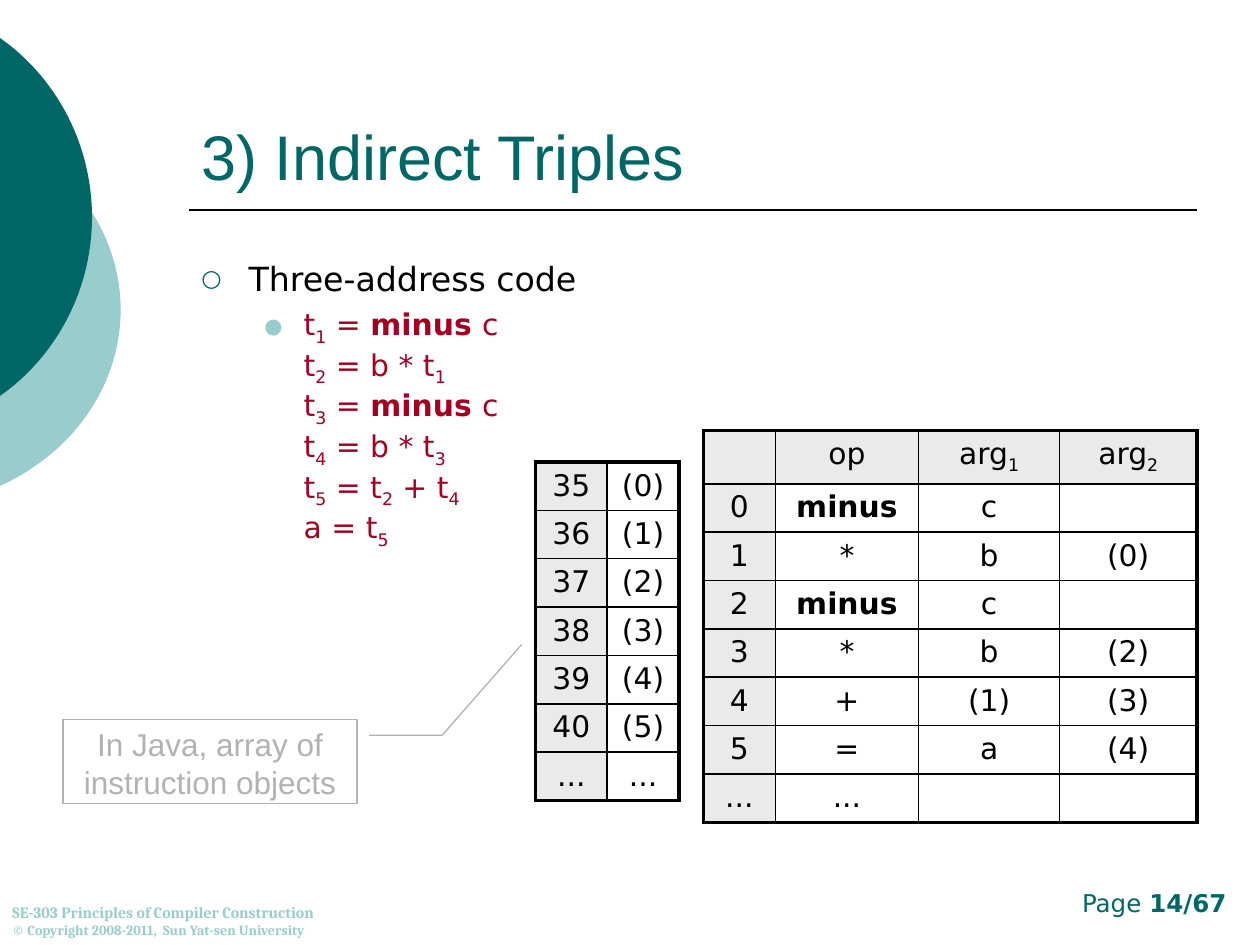
from copy import deepcopy

from lxml.etree import SubElement as Sub
from pptx import Presentation
from pptx.dml.color import RGBColor as RGB
from pptx.enum.shapes import MSO_CONNECTOR as Conn, MSO_SHAPE as Shape
from pptx.enum.text import MSO_ANCHOR as Anchor, PP_ALIGN as Align
from pptx.oxml.ns import qn
from pptx.util import Pt

TEAL = RGB(0x00, 0x66, 0x66)
AQUA = RGB(0x99, 0xCC, 0xCC)
BLACK = RGB(0x00, 0x00, 0x00)
RED = RGB(0xA5, 0x00, 0x21)
GRAY = RGB(0xB2, 0xB2, 0xB2)
PALE = RGB(0xEA, 0xEA, 0xEA)
SANS, ARIAL, SERIF = "DejaVu Sans", "Arial", "Cambria"

MINUS = ("minus", "bold")
CODE = [
    [("t",), ("1", "sub"), (" = ",), ("minus ", "bold"), ("c",)],
    [("t",), ("2", "sub"), (" = b * t",), ("1", "sub")],
    [("t",), ("3", "sub"), (" = ",), ("minus ", "bold"), ("c",)],
    [("t",), ("4", "sub"), (" = b * t",), ("3", "sub")],
    [("t",), ("5", "sub"), (" = t",), ("2", "sub"), (" + t",), ("4", "sub")],
    [("a = t",), ("5", "sub")],
]
ORDER = [[[(str(35 + i),)], [(f"({i})",)]] for i in range(6)]
ORDER.append([[("...",)], [("...",)]])
TRIPLES = [
    [[], [("op",)], [("arg",), ("1", "sub")], [("arg",), ("2", "sub")]],
    [[("0",)], [MINUS], [("c",)], []],
    [[("1",)], [("*",)], [("b",)], [("(0)",)]],
    [[("2",)], [MINUS], [("c",)], []],
    [[("3",)], [("*",)], [("b",)], [("(2)",)]],
    [[("4",)], [("+",)], [("(1)",)], [("(3)",)]],
    [[("5",)], [("=",)], [("a",)], [("(4)",)]],
    [[("...",)], [("...",)], [], []],
]


def add_runs(para, parts, size, font, color):
    for text, *marks in parts:
        run = para.add_run()
        run.text = text
        run.font.size = Pt(size)
        run.font.name = font
        run.font.color.rgb = color
        run.font.bold = "bold" in marks
        if "sub" in marks:
            run.font._element.set("baseline", "-25000")


def add_break(para):
    last = para.runs[-1]
    para.add_line_break()
    para._p[-1].append(deepcopy(last._r.rPr))


def add_box(slide, left, top, width, height, anchor=Anchor.TOP):
    box = slide.shapes.add_textbox(Pt(left), Pt(top), Pt(width), Pt(height))
    frame = box.text_frame
    frame.word_wrap = True
    frame.vertical_anchor = anchor
    return frame


def add_bullet(para, char, color, left, hang):
    props = para._p.get_or_add_pPr()
    props.set("marL", str(Pt(left)))
    props.set("indent", str(-Pt(hang)))
    tint = Sub(props, qn("a:buClr"))
    Sub(tint, qn("a:srgbClr"), val=str(color))
    Sub(props, qn("a:buSzPct"), val="70000")
    Sub(props, qn("a:buFont"), typeface=SANS)
    Sub(props, qn("a:buChar"), char=char)


def add_arc(slide, color, top, near, far, middle):
    curve = [(0, top), near, far, (far[0], middle)]
    half = []
    for step in range(25):
        t = step / 24
        mix = [(1 - t) ** 3, 3 * t * (1 - t) ** 2, 3 * t * t * (1 - t), t ** 3]
        half.append([sum(m * p[axis] for m, p in zip(mix, curve)) for axis in (0, 1)])
    rest = [(x, 2 * middle - y) for x, y in reversed(half[:-1])]
    spots = [(Pt(x), Pt(y)) for x, y in half + rest]
    pen = slide.shapes.build_freeform(*spots[0], scale=1.0)
    pen.add_line_segments(spots[1:], close=True)
    disc = pen.convert_to_shape()
    disc.shadow.inherit = False
    disc.fill.solid()
    disc.fill.fore_color.rgb = color
    disc.line.fill.background()


def add_rule(slide, left, right, top):
    rule = slide.shapes.add_connector(
        Conn.STRAIGHT, Pt(left), Pt(top), Pt(right), Pt(top))
    rule.line.color.rgb = BLACK
    rule.line.width = Pt(1)
    Sub(rule._element.spPr, qn("a:effectLst"))


def set_edges(cell, heavy):
    props = cell._tc.get_or_add_tcPr()
    for spot, side in enumerate("LRTB"):
        width = Pt(2.25 if side in heavy else 1)
        edge = Sub(props, qn(f"a:ln{side}"), w=str(width))
        paint = Sub(edge, qn("a:solidFill"))
        Sub(paint, qn("a:srgbClr"), val=str(BLACK))
        props.insert(spot, edge)


def add_grid(slide, left, top, cols, rows, data, head):
    frame = slide.shapes.add_table(
        len(rows), len(cols), Pt(left), Pt(top), Pt(sum(cols)), Pt(sum(rows)))
    table = frame.table
    table.first_row = table.horz_banding = False
    for col, width in zip(table.columns, cols):
        col.width = Pt(width)
    for row, height in zip(table.rows, rows):
        row.height = Pt(height)
    for r, line in enumerate(data):
        for c, parts in enumerate(line):
            cell = table.cell(r, c)
            if c == 0 or (head and r == 0):
                cell.fill.solid()
                cell.fill.fore_color.rgb = PALE
            else:
                cell.fill.background()
            outer = {"L": c == 0, "R": c == len(cols) - 1,
                     "T": r == 0, "B": r == len(rows) - 1}
            set_edges(cell, [side for side in outer if outer[side]])
            if parts:
                para = cell.text_frame.paragraphs[0]
                para.alignment = Align.CENTER
                add_runs(para, parts, 17, SANS, BLACK)
            else:
                cell.margin_top = cell.margin_bottom = 0


def add_body(slide):
    frame = add_box(slide, 108, 144, 576, 324)
    head = frame.paragraphs[0]
    add_bullet(head, "○", TEAL, 27, 27)
    add_runs(head, [("Three-address code",)], 19, SANS, BLACK)
    code = frame.add_paragraph()
    code.level = 1
    add_bullet(code, "●", AQUA, 58.5, 22.5)
    code.space_before = Pt(4.5)
    for i, line in enumerate(CODE):
        if i:
            add_break(code)
        add_runs(code, line, 17, SANS, RED)


def add_note(slide):
    note = slide.shapes.add_shape(
        Shape.LINE_CALLOUT_2, Pt(36), Pt(411), Pt(168), Pt(48))
    note.shadow.inherit = False
    note.fill.background()
    note.line.color.rgb = GRAY
    note.line.width = Pt(0.75)
    for i, value in enumerate([0.19, 1.04, 0.19, 1.29, -0.89, 1.56]):
        note.adjustments[i] = value
    frame = note.text_frame
    frame.word_wrap = True
    frame.vertical_anchor = Anchor.TOP
    para = frame.paragraphs[0]
    para.alignment = Align.CENTER
    add_runs(para, [("In Java, array of instruction objects",)], 18, ARIAL, GRAY)


def add_foot(slide):
    page = add_box(slide, 546, 504, 162, 24).paragraphs[0]
    page.alignment = Align.RIGHT
    add_runs(page, [("Page ",), ("14/67", "bold")], 14, SANS, TEAL)
    frame = add_box(slide, 0, 504, 246, 36, Anchor.BOTTOM)
    course = ("SE-303 Principles of Compiler Construction", "bold")
    rights = ("© Copyright 2008-2011,  Sun Yat-sen University", "bold")
    add_runs(frame.paragraphs[0], [course], 9, SERIF, AQUA)
    add_runs(frame.add_paragraph(), [rights], 8, SERIF, AQUA)


def main():
    deck = Presentation()
    deck.slide_width, deck.slide_height = Pt(720), Pt(540)
    slide = deck.slides.add_slide(deck.slide_layouts[6])
    add_arc(slide, AQUA, 76.5, (42.5, 95.8), (69, 134.6), 177.1)
    add_arc(slide, TEAL, 21.7, (32.6, 44.6), (52.6, 82.8), 124)
    add_rule(slide, 108, 684, 120)
    title = add_box(slide, 108, 24, 576, 90, Anchor.BOTTOM)
    add_runs(title.paragraphs[0], [("3) Indirect Triples",)], 36, ARIAL, TEAL)
    add_grid(slide, 306, 264, [41, 41], [27.5] * 7, ORDER, False)
    add_body(slide)
    add_grid(slide, 402, 246, [41, 82, 80.5, 78.5],
             [29.7] + [27.5] * 7, TRIPLES, True)
    add_note(slide)
    add_foot(slide)
    deck.save("out.pptx")


if __name__ == "__main__":
    main()
